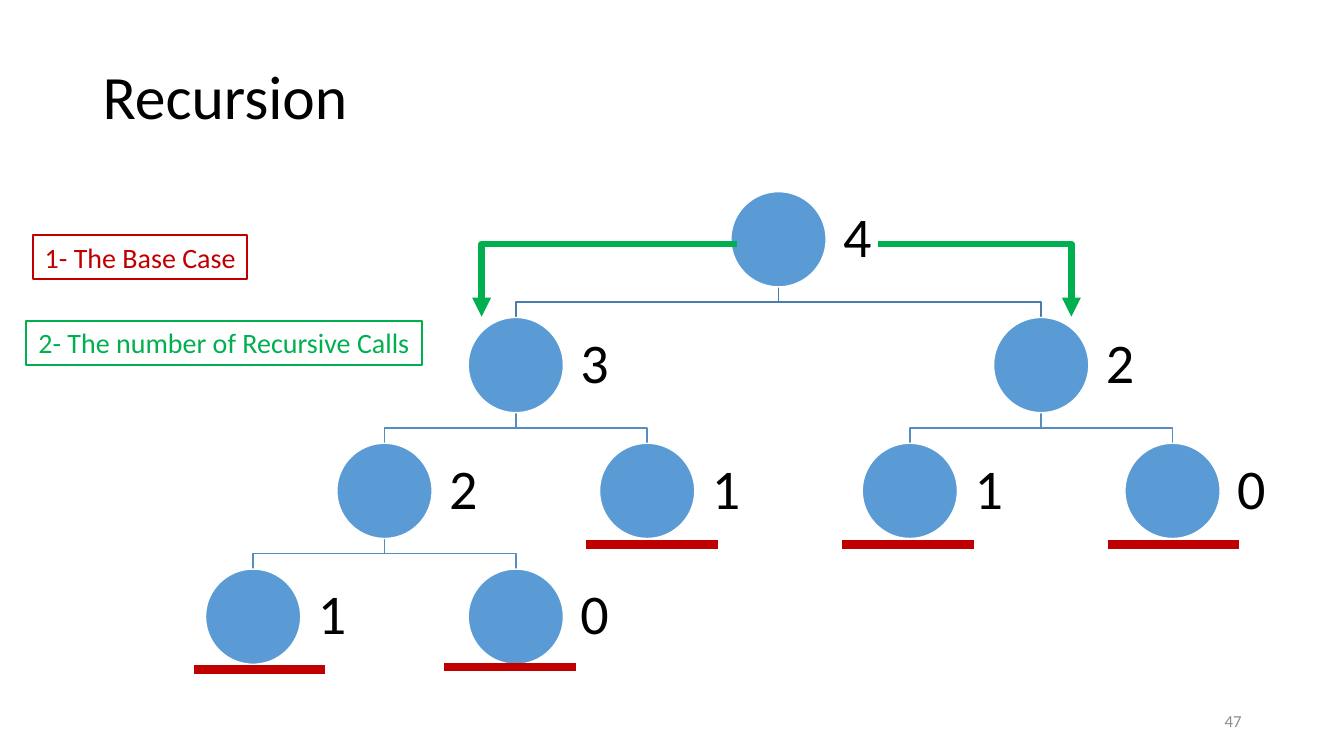
"""Build a slide showing the recursive call tree with its base cases."""
from lxml.etree import SubElement
from pptx import Presentation
from pptx.dml.color import RGBColor
from pptx.enum.shapes import MSO_CONNECTOR, MSO_SHAPE
from pptx.enum.text import MSO_ANCHOR, MSO_AUTO_SIZE, PP_ALIGN
from pptx.oxml.ns import qn
from pptx.util import Cm, Pt

RED, GREEN, BLUE, WHITE = "C00000", "00B050", "5B9BD5", "FFFFFF"
BLACK, GREY = "000000", "8C8C8C"


def write(shape, text, size, color, align, **frame_format):
    """Put one styled paragraph into a shape."""
    frame = shape.text_frame
    for name, value in frame_format.items():
        setattr(frame, name, value)
    para = frame.paragraphs[0]
    para.alignment = align
    span = para.add_run()
    span.text = text
    for name, value in {"name": "Calibri", "size": Pt(size)}.items():
        setattr(span.font, name, value)
    span.font.color.rgb = RGBColor.from_string(color)
    return para


def outline(shape, color, width):
    """Give a shape or connector a plain line without a shadow."""
    shape.line.color.rgb = RGBColor.from_string(color)
    shape.line.width = Pt(width)
    if hasattr(shape, "shadow"):
        shape.shadow.inherit = False
    else:
        SubElement(shape._element.spPr, qn("a:effectLst"))


deck = Presentation()
deck.slide_width, deck.slide_height = Cm(33.87), Cm(19.05)
page = deck.slides.add_slide(deck.slide_layouts[5])
shapes = page.shapes

title = shapes.title
place = {"left": 2.33, "top": 0.67, "width": 29.21, "height": 3.68}
for name, value in place.items():
    setattr(title, name, Cm(value))
title_para = write(title, "Recursion", 44, BLACK, PP_ALIGN.LEFT,
                   vertical_anchor=MSO_ANCHOR.MIDDLE)
title_para.line_spacing = 0.9

# name: (value, column, level, parent)
calls = {
    "root": ("4", 4, 0, None),
    "left": ("3", 2, 1, "root"),
    "left left": ("2", 1, 2, "left"),
    "left left left": ("1", 0, 3, "left left"),
    "left left right": ("0", 2, 3, "left left"),
    "left right": ("1", 3, 2, "left"),
    "right": ("2", 6, 1, "root"),
    "right left": ("1", 5, 2, "right"),
    "right right": ("0", 7, 2, "right"),
}
DIAMETER, RADIUS = 2.4, 1.2
centers = {name: (6.38 + 3.31 * column, 6.03 + 3.17 * level)
           for name, (_, column, level, _) in calls.items()}

for name, (_, _, level, parent) in calls.items():
    if parent is None:
        continue
    parent_x, parent_y = centers[parent]
    child_x, child_y = centers[name]
    start, end = parent_y + RADIUS, child_y - RADIUS
    middle = (start + end) / 2
    builder = shapes.build_freeform(Cm(parent_x), Cm(start))
    corners = [(parent_x, middle), (child_x, middle), (child_x, end)]
    builder.add_line_segments([(Cm(x), Cm(y)) for x, y in corners], close=False)
    branch = builder.convert_to_shape()
    branch.fill.background()
    outline(branch, "497CAB" if level == 1 else "538DC1", 1)

for name, (value, *_) in calls.items():
    x, y = centers[name]
    node = shapes.add_shape(MSO_SHAPE.OVAL, Cm(x - RADIUS), Cm(y - RADIUS),
                            Cm(DIAMETER), Cm(DIAMETER))
    node.fill.solid()
    node.fill.fore_color.rgb = RGBColor.from_string(BLUE)
    outline(node, WHITE, 1)
    box = shapes.add_textbox(Cm(x + RADIUS), Cm(y - RADIUS), Cm(3.6), Cm(DIAMETER))
    insets = {f"margin_{side}": Cm(0.43) for side in ("left", "top", "right", "bottom")}
    para = write(box, value, 40, BLACK, PP_ALIGN.LEFT, word_wrap=True,
                 vertical_anchor=MSO_ANCHOR.MIDDLE, **insets)
    para.line_spacing = 0.9

number = shapes.add_textbox(Cm(23.92), Cm(17.66), Cm(7.62), Cm(1.01))
write(number, "47", 12, GREY, PP_ALIGN.RIGHT, word_wrap=True,
      vertical_anchor=MSO_ANCHOR.MIDDLE)

for x, y in [(4.88, 16.87), (11.2, 16.81), (14.78, 13.72), (21.23, 13.72), (27.91, 13.72)]:
    bar = shapes.add_connector(MSO_CONNECTOR.STRAIGHT, Cm(x), Cm(y), Cm(x + 3.31), Cm(y))
    outline(bar, RED, 6)

for start_x, end_x in [(18.57, 12.14), (22.12, 27.0)]:
    arrow = shapes.add_connector(MSO_CONNECTOR.ELBOW, Cm(start_x), Cm(6.15),
                                 Cm(end_x), Cm(7.98))
    outline(arrow, GREEN, 4.5)
    SubElement(arrow.line._get_or_add_ln(), qn("a:tailEnd"), type="triangle")
    guides = arrow._element.spPr.find(qn("a:prstGeom")).get_or_add_avLst()
    SubElement(guides, qn("a:gd"), name="adj1", fmla="val 100000")

for text, color, left, top, width in [
    ("1- The Base Case", RED, 0.84, 5.93, 5.39),
    ("2- The number of Recursive Calls", GREEN, 0.66, 8.09, 9.97),
]:
    tag = shapes.add_shape(MSO_SHAPE.RECTANGLE, Cm(left), Cm(top), Cm(width), Cm(1.11))
    tag.fill.background()
    outline(tag, color, 1.5)
    write(tag, text, 20, color, PP_ALIGN.CENTER, word_wrap=False,
          auto_size=MSO_AUTO_SIZE.SHAPE_TO_FIT_TEXT, vertical_anchor=MSO_ANCHOR.TOP)

deck.save("out.pptx")
